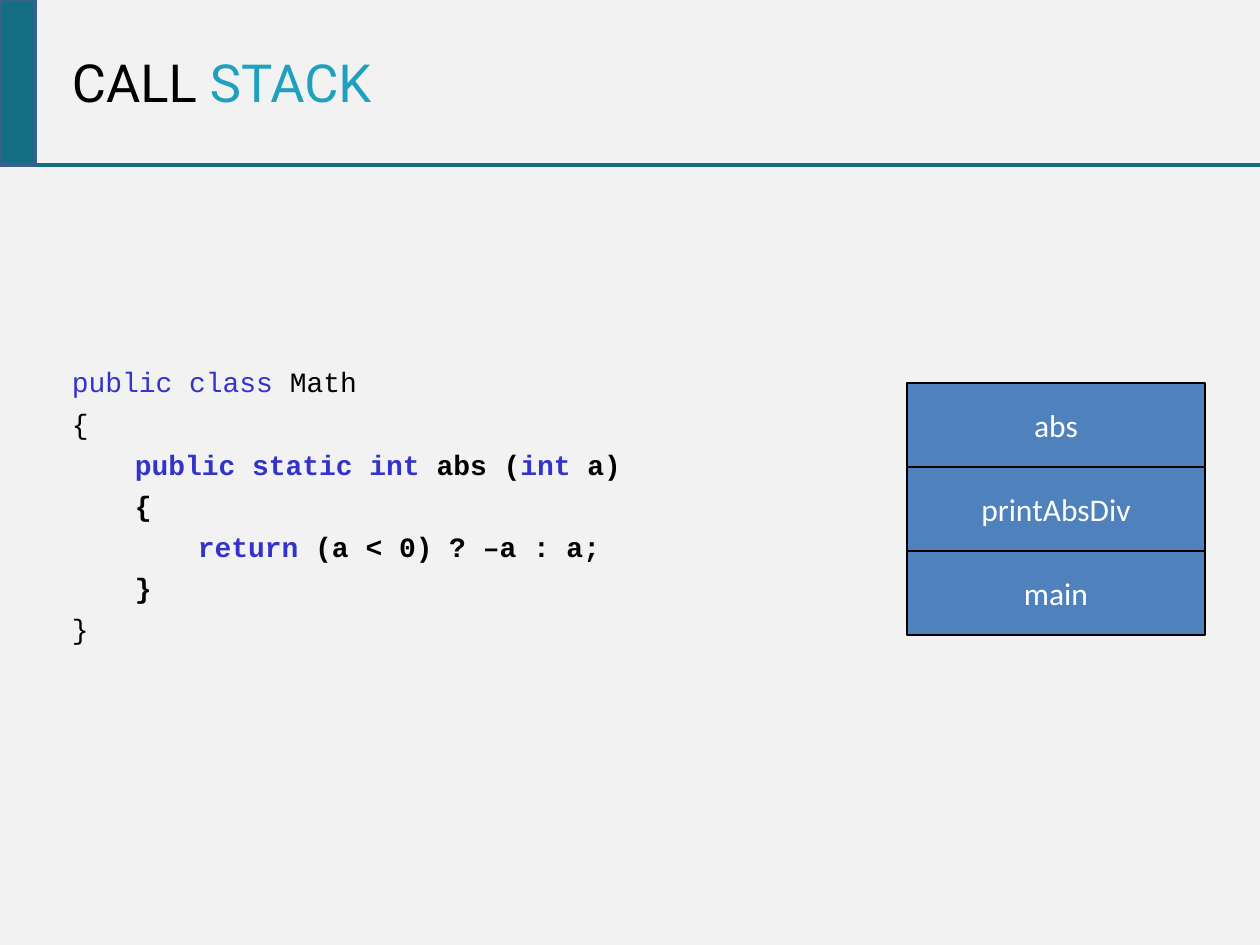
from pptx import Presentation
from pptx.dml.color import RGBColor
from pptx.enum.shapes import MSO_CONNECTOR, MSO_SHAPE
from pptx.enum.text import MSO_ANCHOR, PP_ALIGN
from pptx.oxml.ns import qn
from pptx.util import Emu, Pt
from lxml import etree

RECT = MSO_SHAPE.RECTANGLE
STRAIGHT = MSO_CONNECTOR.STRAIGHT
MIDDLE = MSO_ANCHOR.MIDDLE
CENTER = PP_ALIGN.CENTER

PX = 914400 // 126
INDENT = 63
BLACK, WHITE, TEAL, KEYWORD = "000000", "FFFFFF", "146E83", "3333CC"

# Each code line: indent level, bold, runs of (text, colour)
CODE = [
    (0, False, [("public class ", KEYWORD), ("Math", BLACK)]),
    (0, False, [("{", BLACK)]),
    (1, True, [("public static int ", KEYWORD), ("abs (", BLACK),
               ("int", KEYWORD), (" a)", BLACK)]),
    (1, True, [("{", BLACK)]),
    (2, True, [("return", KEYWORD), (" (a < 0) ? –a : a;", BLACK)]),
    (1, True, [("}", BLACK)]),
    (0, False, [("}", BLACK)]),
]
FRAMES = ["abs", "printAbsDiv", "main"]


def px(n):
    return Emu(n * PX)


def rgb(value):
    return RGBColor.from_string(value)


def set_font(p, name, size, bold=False):
    p.font.name = name
    p.font.size = Pt(size)
    p.font.bold = bold


def add_runs(p, runs):
    for text, color in runs:
        r = p.add_run()
        r.text = text
        r.font.color.rgb = rgb(color)


def add_textbox(s, x, y, w, h):
    tf = s.shapes.add_textbox(px(x), px(y), px(w), px(h)).text_frame
    tf.word_wrap = True
    tf.margin_left = tf.margin_right = px(13)
    tf.margin_top = tf.margin_bottom = 0
    return tf


def add_rect(s, x, y, w, h, fill, line, width):
    sp = s.shapes.add_shape(RECT, px(x), px(y), px(w), px(h))
    sp.shadow.inherit = False
    sp.fill.solid()
    sp.fill.fore_color.rgb = rgb(fill)
    sp.line.color.rgb = rgb(line)
    sp.line.width = Pt(width)
    return sp


def add_line(s, x1, y1, x2, y2, color, width):
    line = s.shapes.add_connector(STRAIGHT, px(x1), px(y1), px(x2), px(y2))
    line.line.color.rgb = rgb(color)
    line.line.width = Pt(width)
    etree.SubElement(line._element.spPr, qn("a:effectLst"))


def add_title(s, runs):
    tf = add_textbox(s, 59, 0, 1027, 164)
    tf.vertical_anchor = MIDDLE
    p = tf.paragraphs[0]
    set_font(p, "Roboto", 30)
    add_runs(p, runs)


def add_code(s, lines):
    tf = add_textbox(s, 59, 365, 800, 275)
    for i, (level, bold, runs) in enumerate(lines):
        p = tf.add_paragraph() if i else tf.paragraphs[0]
        p.space_before = Pt(4.3 if i else 0)
        p._p.get_or_add_pPr().set("marL", str(px(level * INDENT)))
        set_font(p, "Courier New", 16, bold)
        add_runs(p, runs)


def add_stack(s, names, x=907, y=383, w=298, h=84):
    for i, name in enumerate(names):
        sp = add_rect(s, x, y + i * h, w, h, "4F81BD", BLACK, 0.75)
        tf = sp.text_frame
        tf.word_wrap = False
        tf.vertical_anchor = MIDDLE
        p = tf.paragraphs[0]
        p.alignment = CENTER
        set_font(p, "Calibri", 18)
        add_runs(p, [(name, WHITE)])


def main():
    prs = Presentation()
    prs.slide_width, prs.slide_height = px(1260), px(945)
    s = prs.slides.add_slide(prs.slide_layouts[6])
    s.background.fill.solid()
    s.background.fill.fore_color.rgb = rgb("F2F2F2")

    # Header
    add_title(s, [("CALL ", BLACK), ("STACK", "1FA0BE")])
    add_rect(s, 0, 0, 35, 165, TEAL, "3A5F8C", 2)
    add_line(s, 35, 165, 1260, 165, TEAL, 1.75)

    # Code and the stack while it runs
    add_code(s, CODE)
    add_stack(s, FRAMES)
    prs.save("out.pptx")


if __name__ == "__main__":
    main()
